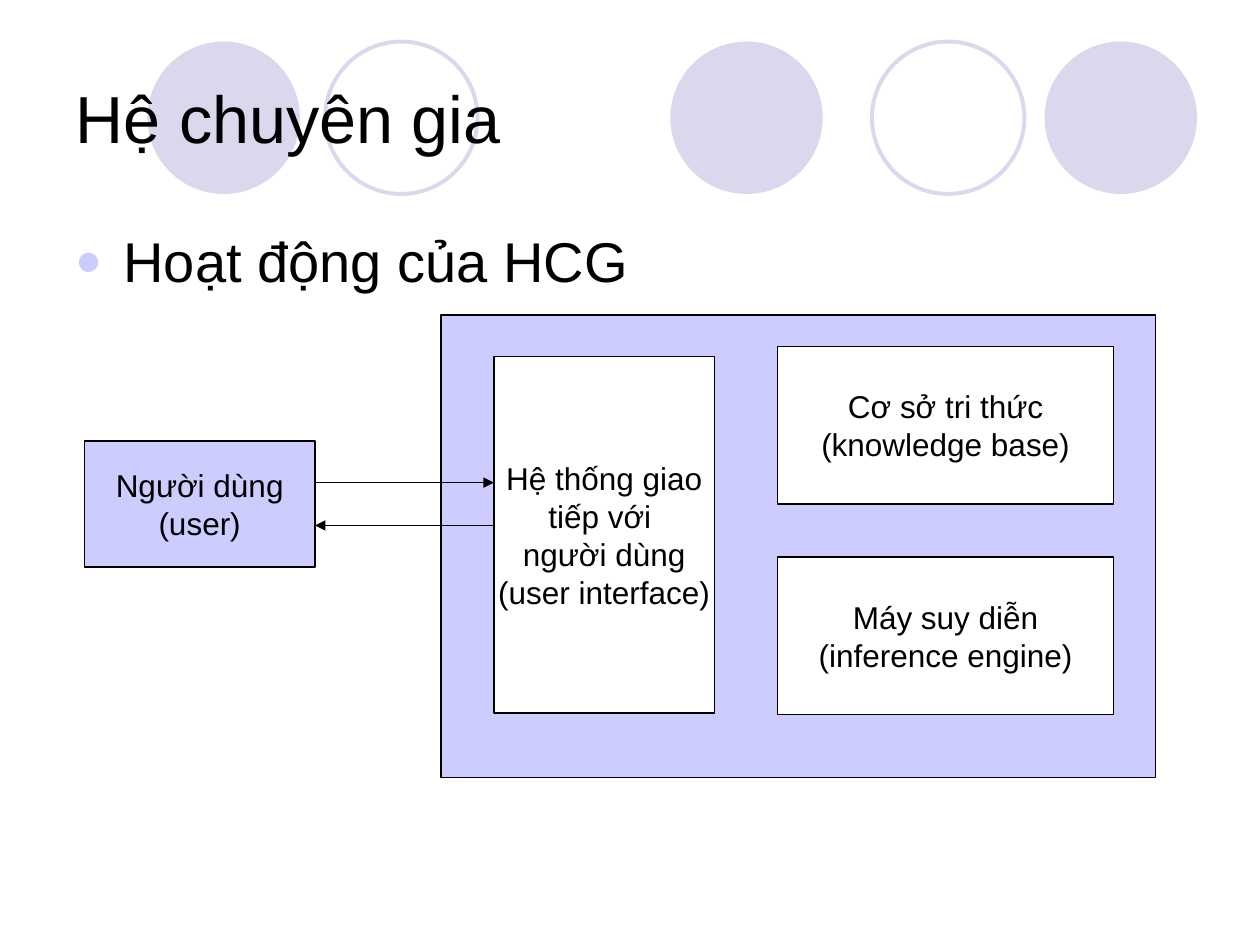
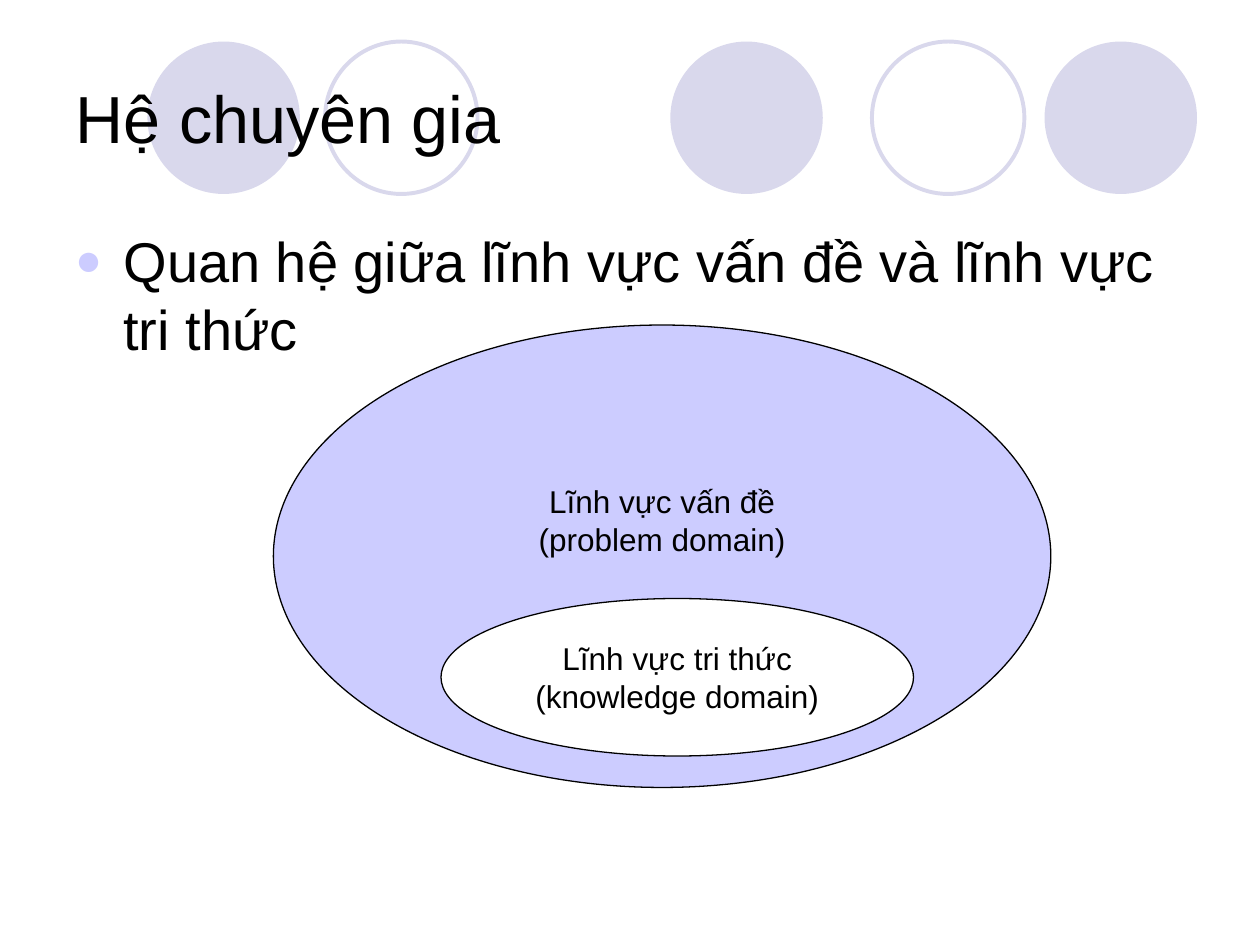
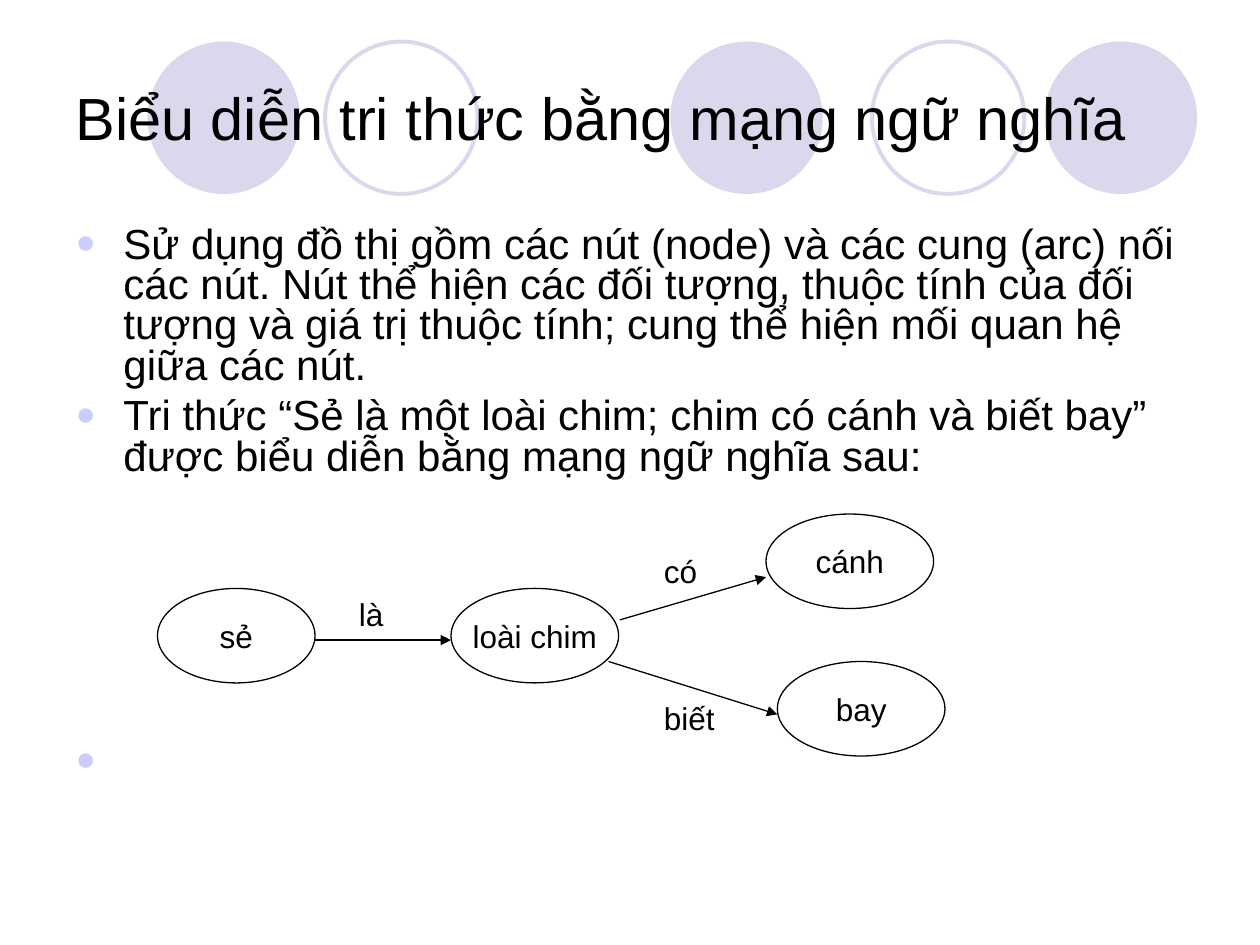
from lxml import etree
from pptx import Presentation
from pptx.dml.color import RGBColor
from pptx.enum.shapes import MSO_CONNECTOR, MSO_SHAPE
from pptx.enum.text import MSO_ANCHOR, MSO_AUTO_SIZE, PP_ALIGN
from pptx.oxml.ns import qn
from pptx.util import Inches, Pt

BLACK = RGBColor(0x00, 0x00, 0x00)
WHITE = RGBColor(0xFF, 0xFF, 0xFF)
LAVENDER = RGBColor(0xCC, 0xCC, 0xFF)
PALE_LILAC = RGBColor(0xD9, 0xD8, 0xEC)

RECTANGLE = MSO_SHAPE.RECTANGLE
ELLIPSE = MSO_SHAPE.OVAL
STRAIGHT = MSO_CONNECTOR.STRAIGHT
LEFT, CENTER = PP_ALIGN.LEFT, PP_ALIGN.CENTER
MIDDLE = MSO_ANCHOR.MIDDLE
NO_FIT = MSO_AUTO_SIZE.NONE

FONT = "Arial"
TITLE_AREA = (0.5, 0.3, 9, 1.25)
BODY_AREA = (0.5, 1.75, 9, 4.95)
FILLED_CIRCLES = (5.32, 8.29, 1.17)
OPEN_CIRCLES = (6.92, 2.58)
CIRCLE_TOP, CIRCLE_SIZE = 0.33, 1.21
LABEL_SIZE = (0.65, 0.4)


def place(shape, area):
    shape.left, shape.top, shape.width, shape.height = map(Inches, area)


def style_paragraph(para, size, alignment=LEFT):
    para.alignment = alignment
    para.font.name = FONT
    para.font.size = Pt(size)
    para.font.color.rgb = BLACK


def add_figure(page, kind, area, fill=None, line=BLACK, weight=0.75):
    shape = page.shapes.add_shape(kind, *map(Inches, area))
    shape.shadow.inherit = False
    if fill is None:
        shape.fill.background()
    else:
        shape.fill.solid()
        shape.fill.fore_color.rgb = fill
    if line is None:
        shape.line.fill.background()
    else:
        shape.line.color.rgb = line
        shape.line.width = Pt(weight)
    return shape


def add_node(page, kind, area, text, fill=None, bottom_inset=0.05):
    frame = add_figure(page, kind, area, fill).text_frame
    frame.word_wrap = False
    frame.vertical_anchor = MIDDLE
    frame.margin_bottom = Inches(bottom_inset)
    frame.text = text
    for para in frame.paragraphs:
        style_paragraph(para, 18, CENTER)


def add_arrow(page, start, end, weight=0.75):
    arrow = page.shapes.add_connector(STRAIGHT, *map(Inches, start + end))
    arrow.line.color.rgb = BLACK
    arrow.line.width = Pt(weight)
    line = arrow.line._get_or_add_ln()
    etree.SubElement(line, qn("a:tailEnd"), type="triangle")
    etree.SubElement(arrow.element.spPr, qn("a:effectLst"))


def add_label(page, corner, text):
    box = page.shapes.add_textbox(*map(Inches, corner + LABEL_SIZE))
    box.text_frame.word_wrap = True
    box.text_frame.auto_size = NO_FIT
    box.text_frame.text = text
    style_paragraph(box.text_frame.paragraphs[0], 18)


def add_bullet(para):
    properties = para._p.get_or_add_pPr()
    properties.set("marL", str(Inches(0.38)))
    properties.set("indent", str(-Inches(0.38)))
    color = etree.SubElement(properties, qn("a:buClr"))
    etree.SubElement(color, qn("a:srgbClr"), val=str(LAVENDER))
    etree.SubElement(properties, qn("a:buSzPct"), val="80000")
    etree.SubElement(properties, qn("a:buFont"), typeface=FONT)
    etree.SubElement(properties, qn("a:buChar"), char="●")


def add_page(deck, title, bullets, title_size=38, size=32, before=8, spacing=1.0):
    page = deck.slides.add_slide(deck.slide_layouts[1])
    heading = page.shapes.title.text_frame
    heading.auto_size = NO_FIT
    heading.vertical_anchor = MIDDLE
    heading.text = title
    style_paragraph(heading.paragraphs[0], title_size)
    body = page.placeholders[1].text_frame
    body.auto_size = NO_FIT
    body.text = "\n".join(bullets)
    for para in body.paragraphs:
        para.line_spacing = spacing
        para.space_before = Pt(before)
        add_bullet(para)
        style_paragraph(para, size)
    return page


def prepare_layout(deck):
    layout = deck.slide_layouts[1]
    for holder in list(layout.placeholders):
        if holder.placeholder_format.idx > 1:
            holder.element.getparent().remove(holder.element)
    title, body = layout.placeholders
    place(title, TITLE_AREA)
    place(body, BODY_AREA)


def move_circles_to_layout(page):
    circles = []
    for left in FILLED_CIRCLES:
        area = (left, CIRCLE_TOP, CIRCLE_SIZE, CIRCLE_SIZE)
        circles.append(add_figure(page, ELLIPSE, area, PALE_LILAC, None))
    for left in OPEN_CIRCLES:
        area = (left, CIRCLE_TOP, CIRCLE_SIZE, CIRCLE_SIZE)
        circles.append(add_figure(page, ELLIPSE, area, None, PALE_LILAC, 2.25))
    front = page.slide_layout.placeholders[0].element
    for circle in circles:
        front.addprevious(circle.element)


def build_operation(deck):
    page = add_page(deck, "Hệ chuyên gia", ["Hoạt động của HCG"])
    move_circles_to_layout(page)
    add_node(page, RECTANGLE, (0.67, 3.5, 1.83, 1), "Người dùng\n(user)", LAVENDER)
    add_figure(page, RECTANGLE, (3.5, 2.5, 5.67, 3.67), LAVENDER)
    parts = [
        ((6.17, 2.75, 2.67, 1.25), "Cơ sở tri thức\n(knowledge base)"),
        ((6.17, 4.42, 2.67, 1.25), "Máy suy diễn\n(inference engine)"),
        ((3.92, 2.83, 1.75, 2.83),
         "Hệ thống giao\ntiếp với \nngười dùng\n(user interface)"),
    ]
    for area, text in parts:
        add_node(page, RECTANGLE, area, text, WHITE)
    add_arrow(page, (2.5, 3.83), (3.92, 3.83), 1)
    add_arrow(page, (3.92, 4.17), (2.5, 4.17), 1)


def build_domains(deck):
    page = add_page(deck, "Hệ chuyên gia",
                    ["Quan hệ giữa lĩnh vực vấn đề và lĩnh vực tri thức"])
    add_node(page, ELLIPSE, (2.17, 2.58, 6.17, 3.67),
             "Lĩnh vực vấn đề\n(problem domain)", LAVENDER, bottom_inset=0.62)
    add_node(page, ELLIPSE, (3.5, 4.75, 3.75, 1.25),
             "Lĩnh vực tri thức\n(knowledge domain)", WHITE)


def build_semantic_network(deck):
    bullets = [
        "Sử dụng đồ thị gồm các nút (node) và các cung (arc) nối các nút. "
        "Nút thể hiện các đối tượng, thuộc tính của đối tượng và giá trị "
        "thuộc tính; cung thể hiện mối quan hệ giữa các nút.",
        "Tri thức “Sẻ là một loài chim; chim có cánh và biết bay” được biểu "
        "diễn bằng mạng ngữ nghĩa sau:",
        " ",
    ]
    page = add_page(deck, "Biểu diễn tri thức bằng mạng ngữ nghĩa", bullets,
                    title_size=34, size=24, before=6, spacing=0.8)
    page.placeholders[1].text_frame.paragraphs[-1].space_before = Pt(151)
    nodes = [
        ((1.25, 4.67, 1.25, 0.75), "sẻ"),
        ((3.58, 4.67, 1.33, 0.75), "loài chim"),
        ((6.08, 4.08, 1.33, 0.75), "cánh"),
        ((6.17, 5.25, 1.33, 0.75), "bay"),
    ]
    for area, text in nodes:
        add_node(page, ELLIPSE, area, text)
    arcs = [
        ((2.5, 5.08), (3.58, 5.08), (2.75, 4.67), "là"),
        ((4.92, 4.92), (6.08, 4.58), (5.17, 4.33), "có"),
        ((4.83, 5.25), (6.17, 5.67), (5.17, 5.5), "biết"),
    ]
    for start, end, corner, text in arcs:
        add_arrow(page, start, end)
        add_label(page, corner, text)


def main():
    deck = Presentation()
    deck.slide_width = Inches(10)
    deck.slide_height = Inches(7.5)
    prepare_layout(deck)
    build_operation(deck)
    build_domains(deck)
    build_semantic_network(deck)
    deck.save("out.pptx")


if __name__ == "__main__":
    main()
